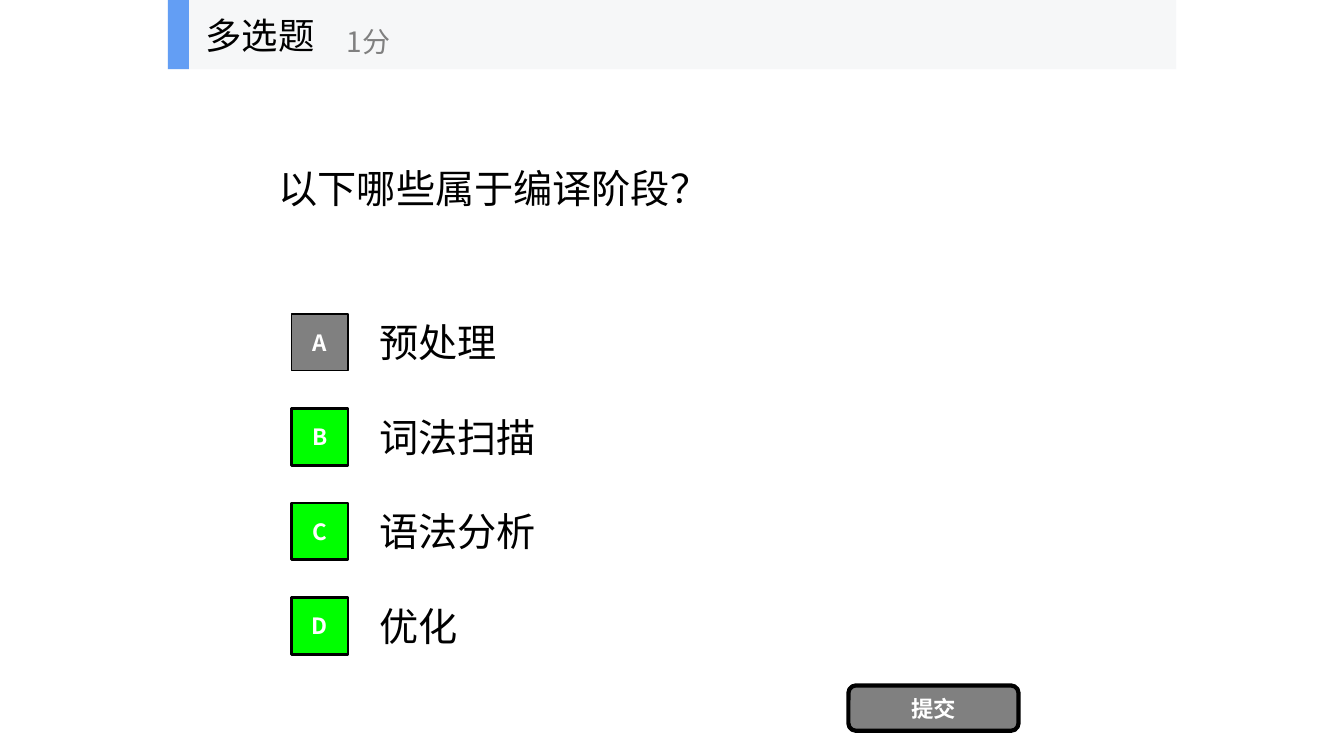
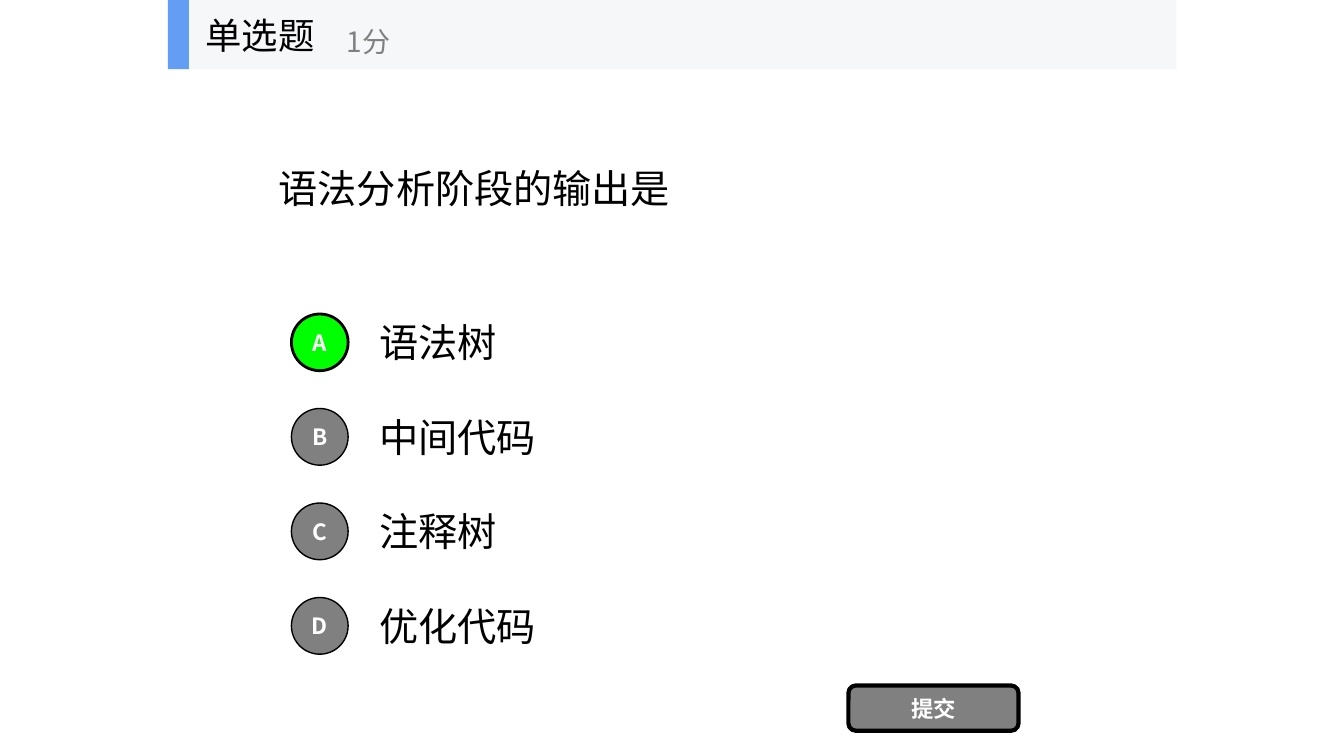
import dataclasses

import lxml.etree
import pptx
import pptx.dml.color
import pptx.enum.shapes
import pptx.enum.text
import pptx.oxml.ns
import pptx.util

KIND = pptx.enum.shapes.MSO_SHAPE
ALIGN = pptx.enum.text.PP_ALIGN


@dataclasses.dataclass(frozen=True)
class Theme:
    font: str = "Noto Sans CJK SC"
    ink: str = "000000"
    white: str = "FFFFFF"
    gray: str = "808080"
    right: str = "00FF00"
    band: str = "F6F7F8"
    accent: str = "639EF4"
    body: int = 28
    title: int = 26
    score: int = 20
    mark: int = 16


THEME = Theme()
WIDE, HIGH = 13.33, 7.5
UNIT = HIGH / 60  # one square cell: the slide is 60 rows high


@dataclasses.dataclass(frozen=True)
class Box:
    """An area in cells, counted from the slide's top left."""
    x: float
    y: float
    w: float
    h: float

    def sub(self, x, y, w, h):
        return Box(self.x + x, self.y + y, w, h)

    def place(self):
        return [pptx.util.Inches(v * UNIT) for v in (self.x, self.y, self.w, self.h)]


# The 4:3 stage, centred on the wide slide
STAGE = Box((WIDE / UNIT - 80) / 2, 0, 80, 60)


def tint(code):
    return pptx.dml.color.RGBColor.from_string(code)


def write(shape, text, size, color, bold=False, align=ALIGN.LEFT):
    frame = shape.text_frame
    frame.word_wrap = True
    frame.vertical_anchor = pptx.enum.text.MSO_ANCHOR.MIDDLE
    frame.text = text
    para = frame.paragraphs[0]
    para.alignment = align
    font = para.runs[0].font
    font.size = pptx.util.Pt(size)
    font.bold = bold
    font.color.rgb = tint(color)
    font.name = THEME.font
    # East Asian typeface, which follows the Latin one
    latin = font._element.find(pptx.oxml.ns.qn("a:latin"))
    east = lxml.etree.Element(pptx.oxml.ns.qn("a:ea"), typeface=THEME.font)
    latin.addnext(east)


def label(shapes, box, text, size=THEME.body, color=THEME.ink):
    write(shapes.add_textbox(*box.place()), text, size, color)


def block(shapes, kind, box, fill, line=0):
    shape = shapes.add_shape(kind, *box.place())
    shape.shadow.inherit = False
    shape.fill.solid()
    shape.fill.fore_color.rgb = tint(fill)
    if line:
        shape.line.color.rgb = tint(THEME.ink)
        shape.line.width = pptx.util.Pt(line)
    else:
        shape.line.fill.background()
    return shape


def badge(shapes, kind, box, text, fill, line):
    shape = block(shapes, kind, box, fill, line)
    frame = shape.text_frame
    frame.margin_left = frame.margin_right = 0
    frame.margin_top = frame.margin_bottom = 0
    write(shape, text, THEME.mark, THEME.white, True, ALIGN.CENTER)


def header(slide, box, title, score):
    """Band with accent strip, question type and score."""
    shapes = slide.shapes.add_group_shape().shapes
    block(shapes, KIND.RECTANGLE, box, THEME.band)
    block(shapes, KIND.RECTANGLE, box.sub(0, 0, 1.67, box.h), THEME.accent)
    label(shapes, box.sub(2.2, 0, 16.6, box.h), title, THEME.title)
    label(shapes, box.sub(13.4, 1, 20, box.h - 1), score, THEME.score, THEME.gray)


def choices(slide, box, kind, items, answers):
    """One row per choice: a lettered mark and its text."""
    pitch, row, side = box.h / 4, 5.6, 4.5
    for i, (letter, text) in enumerate(zip("ABCD", items)):
        top = i * pitch
        label(slide.shapes, box.sub(6.2, top, 56, row), text)
        fill, line = (THEME.right, 2) if letter in answers else (THEME.gray, 1)
        spot = box.sub(0, top + (row - side) / 2, side, side)
        badge(slide.shapes, kind, spot, letter, fill, line)


def quiz(deck, title, kind, ask, items, answers):
    """A whole question slide."""
    slide = deck.slides.add_slide(deck.slide_layouts[6])
    label(slide.shapes, STAGE.sub(8, 5.5, 64, 18.75), ask)
    choices(slide, STAGE.sub(9.8, 24.37, 62.2, 30), kind, items, answers)
    # Submit button
    badge(slide.shapes, KIND.ROUNDED_RECTANGLE, STAGE.sub(54, 54.4, 13.5, 3.6),
          "提交", THEME.gray, 3)
    header(slide, STAGE.sub(0, 0, STAGE.w, 5.5), title, "1分")


def main():
    deck = pptx.Presentation()
    deck.slide_width = pptx.util.Inches(WIDE)
    deck.slide_height = pptx.util.Inches(HIGH)
    quiz(deck, "多选题", KIND.RECTANGLE, "以下哪些属于编译阶段？",
         ["预处理", "词法扫描", "语法分析", "优化"], "BCD")
    quiz(deck, "单选题", KIND.OVAL, "语法分析阶段的输出是",
         ["语法树", "中间代码", "注释树", "优化代码"], "A")
    deck.save("out.pptx")


if __name__ == "__main__":
    main()
